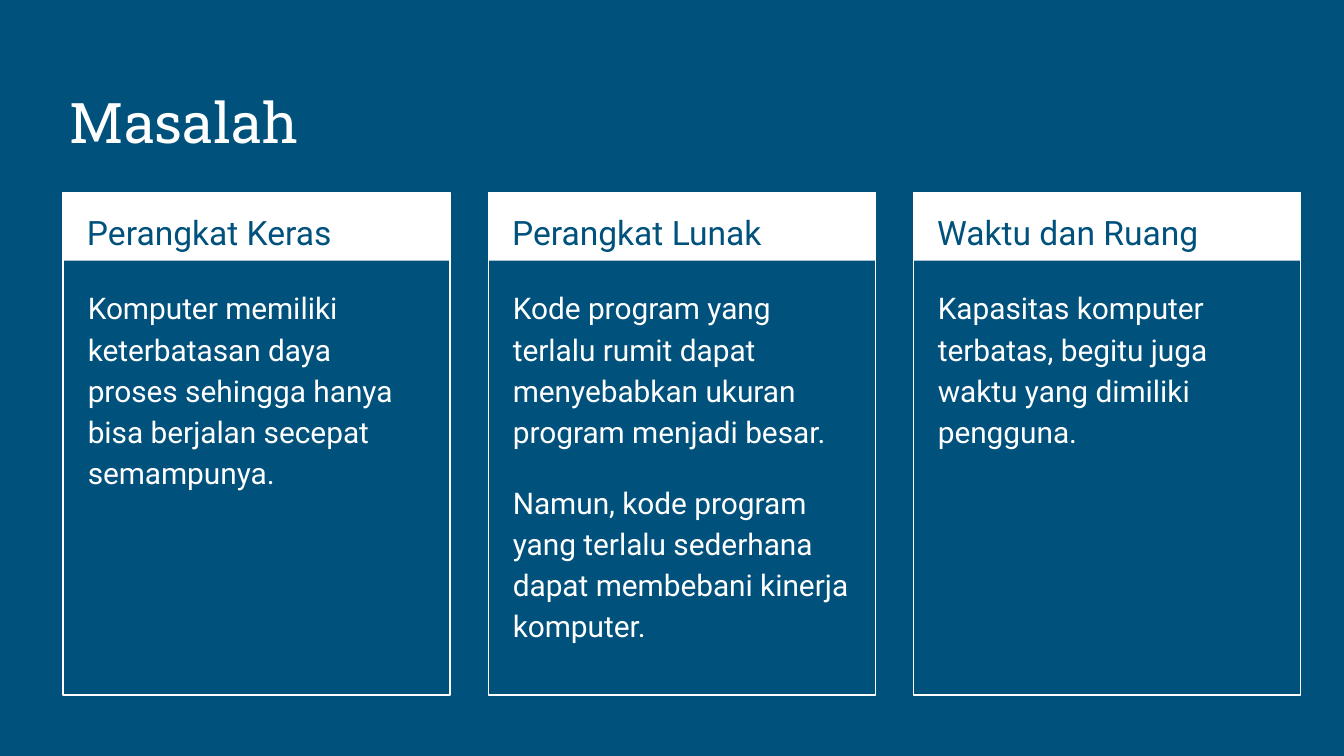
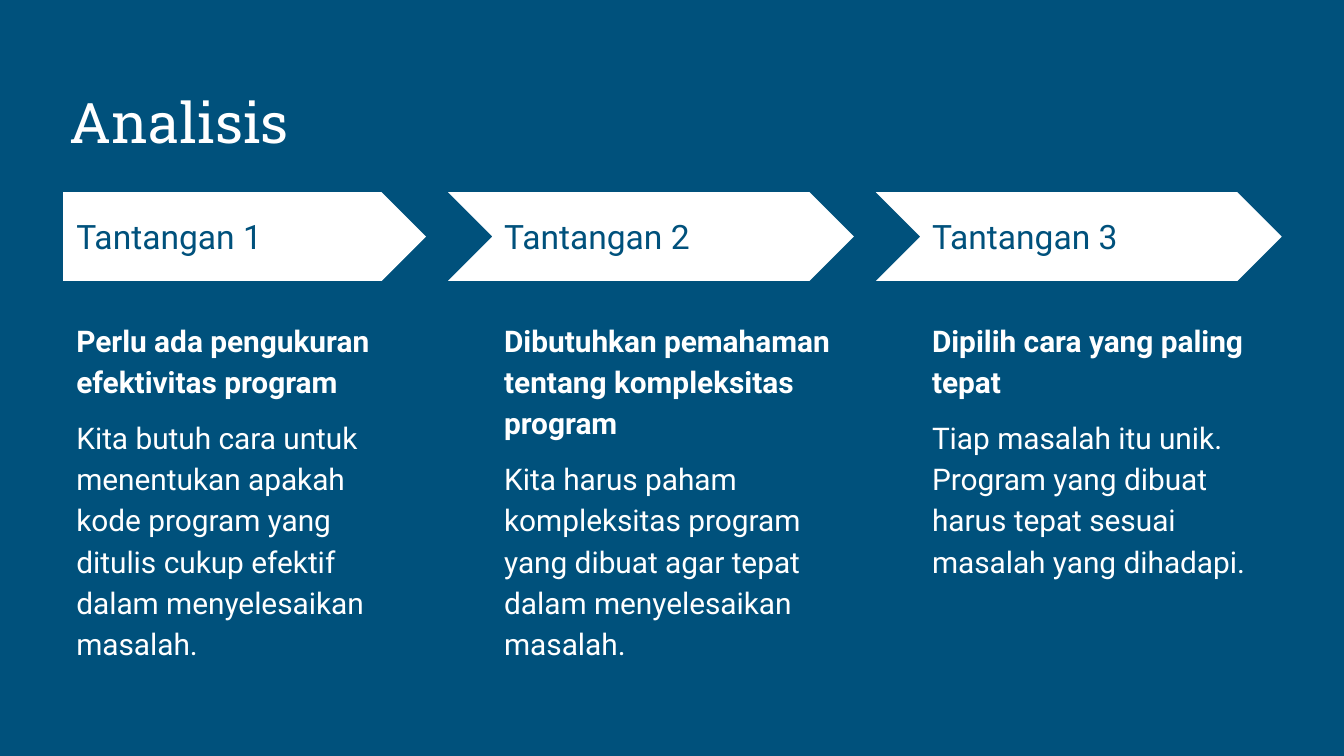
from pptx import Presentation
from pptx.dml.color import RGBColor
from pptx.enum.shapes import MSO_SHAPE
from pptx.enum.text import MSO_ANCHOR, MSO_AUTO_SIZE, PP_ALIGN
from pptx.util import Pt

RECTANGLE, PENTAGON, CHEVRON = MSO_SHAPE.RECTANGLE, MSO_SHAPE.PENTAGON, MSO_SHAPE.CHEVRON
TOP, MIDDLE, BOTTOM = MSO_ANCHOR.TOP, MSO_ANCHOR.MIDDLE, MSO_ANCHOR.BOTTOM
LEFT = PP_ALIGN.LEFT
NO_AUTOFIT = MSO_AUTO_SIZE.NONE

COLORS = {"blue": "00517C", "white": "FFFFFF"}
TITLE_FONT, BODY_FONT = "Roboto Slab", "Roboto"
TITLE_SIZE, HEADING_SIZE, BODY_SIZE = 30, 18, 16
LINE_SPACING = 1.15
INSET = 7.2
MARGIN, CONTENT_TOP = 33.84, 103
TITLE_ONLY = 5

PROBLEMS = [
    ("Perangkat Keras", [
        "Komputer memiliki keterbatasan daya proses sehingga hanya bisa "
        "berjalan secepat semampunya."]),
    ("Perangkat Lunak", [
        "Kode program yang terlalu rumit dapat menyebabkan ukuran program menjadi besar.",
        "Namun, kode program yang terlalu sederhana dapat membebani kinerja komputer."]),
    ("Waktu dan Ruang", [
        "Kapasitas komputer terbatas, begitu juga waktu yang dimiliki pengguna."]),
]

CHALLENGES = [
    ("Tantangan 1", [
        "Perlu ada pengukuran efektivitas program",
        "Kita butuh cara untuk menentukan apakah kode program yang ditulis "
        "cukup efektif dalam menyelesaikan masalah."]),
    ("Tantangan 2", [
        "Dibutuhkan pemahaman tentang kompleksitas program",
        "Kita harus paham kompleksitas program yang dibuat agar tepat "
        "dalam menyelesaikan masalah."]),
    ("Tantangan 3", [
        "Dipilih cara yang paling tepat",
        "Tiap masalah itu unik. Program yang dibuat harus tepat sesuai "
        "masalah yang dihadapi."]),
]


def rgb(name):
    return RGBColor.from_string(COLORS[name])


class Deck:
    """Holds the shared style and the slide being built."""

    def __init__(self):
        self.presentation = Presentation()
        self.presentation.slide_width = Pt(720)
        self.presentation.slide_height = Pt(405)
        self.slide = None

    def new_slide(self, heading):
        layout = self.presentation.slide_layouts[TITLE_ONLY]
        self.slide = self.presentation.slides.add_slide(layout)
        background = self.slide.background.fill
        background.solid()
        background.fore_color.rgb = rgb("blue")
        title = self.slide.shapes.title
        title.left, title.top = Pt(30.24), Pt(36)
        title.width, title.height = Pt(658.8), Pt(54)
        self.fill_text(title.text_frame, [heading], TITLE_SIZE, "white",
                       font=TITLE_FONT, anchor=BOTTOM)

    def fill_text(self, frame, paragraphs, size, color, font=BODY_FONT, anchor=TOP,
                  spacing=None, gap=0, bold_first=False):
        """Fill a text frame; gap is the space before each later paragraph."""
        frame.word_wrap = True
        frame.auto_size = NO_AUTOFIT
        frame.vertical_anchor = anchor
        frame.margin_left = frame.margin_right = Pt(INSET)
        frame.margin_top = frame.margin_bottom = Pt(INSET)
        frame.text = "\n".join(paragraphs)
        for index, paragraph in enumerate(frame.paragraphs):
            paragraph.alignment = LEFT
            paragraph.space_before = Pt(gap if index else 0)
            if spacing:
                paragraph.line_spacing = spacing
            for run in paragraph.runs:
                run.font.name = font
                run.font.size = Pt(size)
                run.font.bold = bold_first and index == 0
                run.font.color.rgb = rgb(color)

    def text(self, left, top, width, height, paragraphs, size, color, **style):
        box = self.slide.shapes.add_textbox(Pt(left), Pt(top), Pt(width), Pt(height))
        self.fill_text(box.text_frame, paragraphs, size, color, **style)

    def shape(self, kind, left, top, width, height, fill=None, line=None, group=None):
        shapes = (group or self.slide).shapes
        shape = shapes.add_shape(kind, Pt(left), Pt(top), Pt(width), Pt(height))
        shape.shadow.inherit = False
        if fill:
            shape.fill.solid()
            shape.fill.fore_color.rgb = rgb(fill)
        else:
            shape.fill.background()
        if line:
            shape.line.color.rgb = rgb(line)
            shape.line.width = Pt(0.75)
        else:
            shape.line.fill.background()

    def card(self, left, heading, paragraphs):
        width = 207.36
        frame = self.slide.shapes.add_group_shape()
        self.shape(RECTANGLE, left, CONTENT_TOP, width, 36.72, fill="white", group=frame)
        self.shape(RECTANGLE, left, CONTENT_TOP, width, 269.3, line="white", group=frame)
        self.text(left + 5.7, CONTENT_TOP, 196.6, 36, [heading], HEADING_SIZE, "blue",
                  spacing=LINE_SPACING)
        self.text(left + 6.1, 145.4, 195.1, 220.3, paragraphs, BODY_SIZE, "white",
                  spacing=LINE_SPACING, gap=16)

    def step(self, left, heading, paragraphs, first):
        """An arrow with its heading; later arrows reach back by their notch."""
        width, notch = 194.4, 0 if first else 23
        self.shape(PENTAGON if first else CHEVRON, left - notch, CONTENT_TOP,
                   width + notch, 47.5, fill="white")
        self.text(left, 114.5, 177.8, 24.5, [heading], HEADING_SIZE, "blue", anchor=MIDDLE)
        self.text(left, 162.7, width, 208.8, paragraphs, BODY_SIZE, "white",
                  spacing=LINE_SPACING, gap=8, bold_first=True)


def main():
    deck = Deck()

    deck.new_slide("Masalah")
    for column, (heading, paragraphs) in enumerate(PROBLEMS):
        deck.card(MARGIN + 227.7 * column, heading, paragraphs)

    deck.new_slide("Analisis")
    for column, (heading, paragraphs) in enumerate(CHALLENGES):
        deck.step(MARGIN + 229.2 * column, heading, paragraphs, first=column == 0)

    deck.presentation.save("out.pptx")


if __name__ == "__main__":
    main()
